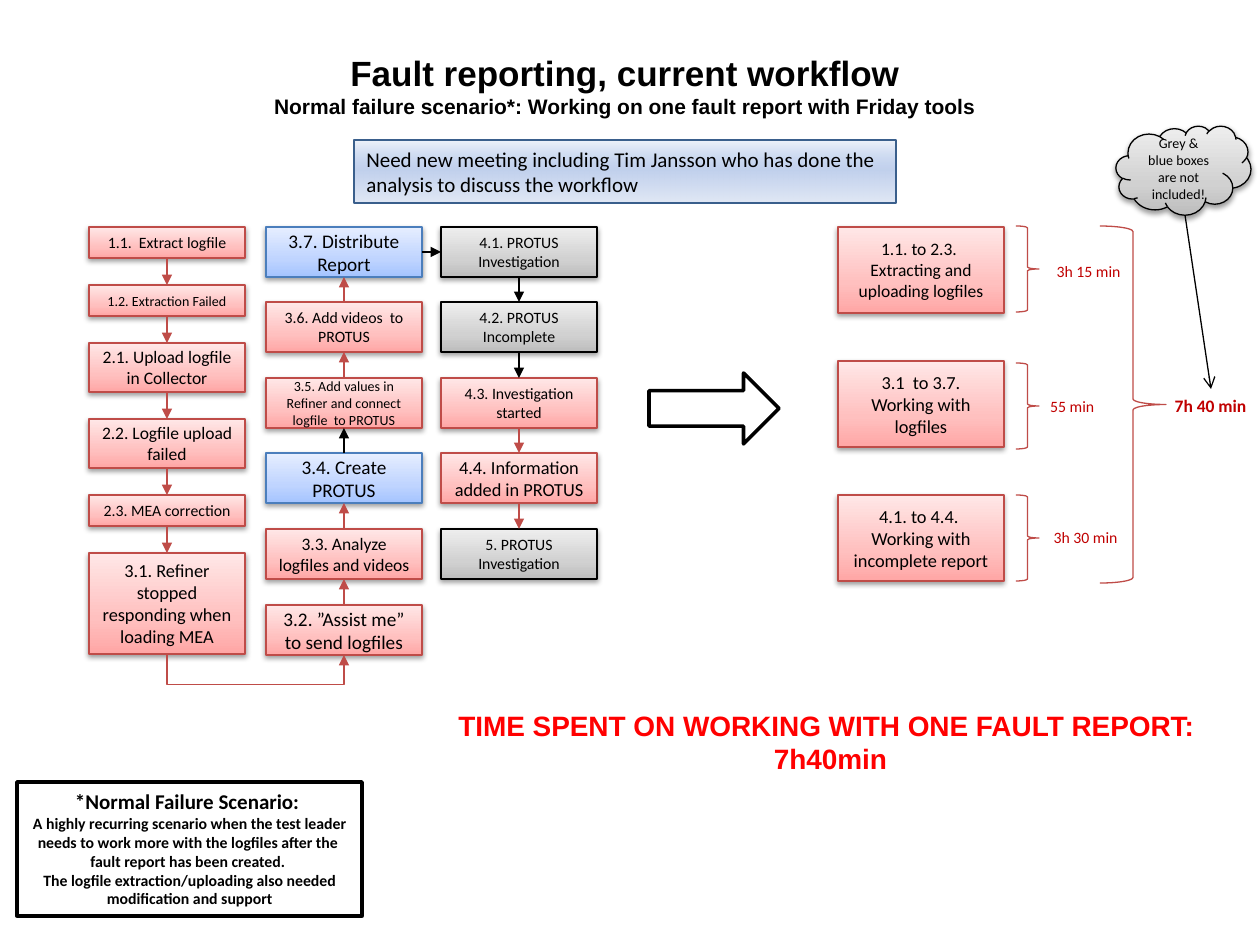
from itertools import pairwise

from lxml.etree import SubElement
from pptx import Presentation
from pptx.dml.color import RGBColor
from pptx.enum.shapes import MSO_CONNECTOR, MSO_SHAPE
from pptx.enum.text import MSO_ANCHOR, MSO_AUTO_SIZE, PP_ALIGN
from pptx.oxml.ns import qn
from pptx.util import Emu, Pt

RED, BLACK, DARK_RED = "BF4C48", "000000", "C00000"
TOP, LEFT, BOTTOM, RIGHT = range(4)


def px(n):
    return Emu(round(n * 914400 / 126))


def rgb(color):
    return RGBColor.from_string(color)


class Deck:
    # kind: (line colour, gradient stops as (position, colour, alpha), angle)
    KINDS = {
        "red": (RED, [(0, "FFA6A5", 100), (35, "FFC0BF", 100), (100, "FFE7E7", 100)], 90),
        "blue": ("4B7EBC", [(0, "A4C4FF", 100), (35, "BFD4FF", 100), (100, "E6EEFF", 100)], 90),
        "grey": (BLACK, [(0, "BDBDBD", 100), (35, "D1D1D1", 100), (100, "EEEEEE", 100)], 90),
        "note": ("3A5F8C", [(0, "9AB5E4", 14), (50, "C2D1ED", 100), (100, "E1E8F5", 100)], 270),
    }

    def __init__(self, prs):
        self.s = prs.slides.add_slide(prs.slide_layouts[6])

    def fill_text(self, sp, paragraphs, anchor=MSO_ANCHOR.MIDDLE, align=PP_ALIGN.CENTER,
                  font="Calibri", color=BLACK, bold=False, wrap=True):
        """Each paragraph is a list of (text, size) runs; a newline is a line break."""
        tf = sp.text_frame
        tf.word_wrap = wrap
        tf.vertical_anchor = anchor
        for i, runs in enumerate(paragraphs):
            p = tf.add_paragraph() if i else tf.paragraphs[0]
            p.alignment = align
            for text, size in runs:
                for j, line in enumerate(text.split("\n")):
                    if j:
                        p.add_line_break()
                    if not line:
                        continue
                    r = p.add_run()
                    r.text = line
                    r.font.name, r.font.size, r.font.bold = font, Pt(size), bold
                    r.font.color.rgb = rgb(color)

    def text(self, x, y, w, h, paragraphs, **style):
        sp = self.s.shapes.add_textbox(px(x), px(y), px(w), px(h))
        self.fill_text(sp, paragraphs, MSO_ANCHOR.TOP, **style)
        sp.text_frame.auto_size = MSO_AUTO_SIZE.SHAPE_TO_FIT_TEXT

    def shape(self, preset, x, y, w, h, line=BLACK, width=0.75, fill=None):
        sp = self.s.shapes.add_shape(preset, px(x), px(y), px(w), px(h))
        sp.shadow.inherit = False
        sp.line.color.rgb = rgb(line)
        sp.line.width = Pt(width)
        if fill:
            sp.fill.solid()
            sp.fill.fore_color.rgb = rgb(fill)
        else:
            sp.fill.background()
        return sp

    def box(self, kind, x, y, w, h, text, size, preset=MSO_SHAPE.RECTANGLE, shadow=True, **style):
        line, stops, angle = self.KINDS[kind]
        sp = self.shape(preset, x, y, w, h, line)
        sp.fill.gradient()
        sp.fill.gradient_angle = angle
        pr = sp._element.spPr
        gs_list = pr.find(qn("a:gradFill")).find(qn("a:gsLst"))
        for gs in list(gs_list):
            gs_list.remove(gs)
        for pos, color, alpha in stops:
            gs = SubElement(gs_list, qn("a:gs"), pos=str(pos * 1000))
            self.color_xml(gs, color, alpha)
        if shadow:
            shadow_xml = SubElement(pr.find(qn("a:effectLst")), qn("a:outerShdw"),
                                    blurRad=str(Pt(3.1)), dist=str(Pt(1.6)),
                                    dir="5400000", rotWithShape="0")
            self.color_xml(shadow_xml, BLACK, 38)
        self.fill_text(sp, [[(text, size)]], **style)
        return sp

    def color_xml(self, parent, color, alpha):
        clr = SubElement(parent, qn("a:srgbClr"), val=color)
        if alpha < 100:
            SubElement(clr, qn("a:alpha"), val=str(alpha * 1000))

    def arrow(self, x1, y1, x2, y2, color=BLACK, head="triangle", kind=MSO_CONNECTOR.STRAIGHT):
        c = self.s.shapes.add_connector(kind, px(x1), px(y1), px(x2), px(y2))
        c.line.color.rgb = rgb(color)
        c.line.width = Pt(0.75)
        pr = c._element.spPr
        SubElement(pr.find(qn("a:ln")), qn("a:tailEnd"), type=head)
        SubElement(pr, qn("a:effectLst"))
        return c

    def join(self, a, side_a, b, side_b, color):
        c = self.arrow(0, 0, 0, 0, color)
        c.begin_connect(a, side_a)
        c.end_connect(b, side_b)

    def u_turn(self, x1, x2, y, drop, color):
        """Elbow from (x1, y) down by drop and up to (x2, y + 1)."""
        mid, half = (x1 + x2) / 2, (x2 - x1) / 2
        c = self.arrow(mid + 0.5, y + 0.5 - half, mid - 0.5, y + 0.5 + half, color,
                       kind=MSO_CONNECTOR.ELBOW)
        pr = c._element.spPr
        pr.find(qn("a:xfrm")).set("rot", "16200000")
        guides = pr.find(qn("a:prstGeom")).find(qn("a:avLst"))
        SubElement(guides, qn("a:gd"), name="adj1", fmla=f"val {drop * 100000}")


def main():
    prs = Presentation()
    prs.slide_width, prs.slide_height = px(1260), px(945)
    d = Deck(prs)

    # Headings
    d.text(257, 45, 736, 81, [
        [("Fault reporting, current workflow", 20)],
        [("Normal failure scenario*: Working on one fault report with Friday tools", 12)],
    ], font="Arial", bold=True, wrap=False)
    d.text(441, 702, 779, 81, [[("TIME SPENT ON WORKING WITH ONE FAULT REPORT: \n7h40min", 16)]],
           font="Arial", color="FF0000", bold=True, wrap=False)

    # Workflow, first column: steps of different heights with equal gaps
    box_w, top, gap = 156, 227, 27
    first, y = [], top
    for text, size, h in [
        ("1.1.  Extract logfile", 9, 31),
        ("1.2. Extraction Failed", 8, 31),
        ("2.1. Upload logfile in Collector", 10, 49),
        ("2.2. Logfile upload failed", 10, 49),
        ("2.3. MEA correction", 9, 31),
        ("3.1. Refiner stopped responding when loading MEA", 10.5, 101),
    ]:
        first.append(d.box("red", 89, y, box_w, h, text, size))
        y += h + gap

    # Second and third columns: six rows on one pitch
    def column(x, steps):
        return [d.box(kind, x, top + i * 378 // 5, box_w, 50, text, size)
                for i, (kind, text, size) in enumerate(steps)]

    second = column(266, [
        ("blue", "3.7. Distribute Report", 11),
        ("red", "3.6. Add videos  to PROTUS", 9),
        ("red", "3.5. Add values in Refiner and connect logfile  to PROTUS", 8),
        ("blue", "3.4. Create PROTUS", 11),
        ("red", "3.3. Analyze logfiles and videos ", 10),
        ("red", "3.2. ”Assist me” to send logfiles", 11),
    ])
    third = column(441, [
        ("grey", "4.1. PROTUS Investigation", 9),
        ("grey", "4.2. PROTUS Incomplete", 9),
        ("red", "4.3. Investigation started", 9),
        ("red", "4.4. Information added in PROTUS", 10.5),
        ("grey", "5. PROTUS Investigation", 9),
    ])

    # Workflow arrows
    for a, b in pairwise(first):
        d.join(a, BOTTOM, b, TOP, RED)
    for i, (upper, lower) in enumerate(pairwise(second)):
        d.join(lower, TOP, upper, BOTTOM, BLACK if i == 2 else RED)
    for i, (a, b) in enumerate(pairwise(third)):
        d.join(a, BOTTOM, b, TOP, BLACK if i < 2 else RED)
    d.join(second[0], RIGHT, third[0], LEFT, BLACK)
    d.u_turn(167, 344, 654, 31, RED)

    # Time summary
    d.shape(MSO_SHAPE.RIGHT_ARROW, 649, 373, 130, 71, width=2)
    for y, text, size, brace_y, time, time_x, time_y, time_w in [
        (227, "1.1. to 2.3. \nExtracting and uploading logfiles", 10, 226, "3h 15 min", 1040, 256, 97),
        (361, "3.1  to 3.7. Working with logfiles", 10.5, 363, "55 min ", 1037, 391, 74),
        (495, "4.1. to 4.4. \nWorking with incomplete report", 10.5, 495, "3h 30 min", 1037, 522, 97),
    ]:
        d.box("red", 838, y, 166, 86, text, size)
        d.shape(MSO_SHAPE.RIGHT_BRACE, 1016, brace_y, 23, 86, RED)
        d.text(time_x, time_y, time_w, 31, [[(time, 9)]], color=DARK_RED)
    d.shape(MSO_SHAPE.RIGHT_BRACE, 1100, 226, 66, 357, RED)
    d.text(1159, 389, 103, 34, [[("7h 40 min", 10)]], color=DARK_RED, bold=True)

    # Notes
    legend = d.shape(MSO_SHAPE.RECTANGLE, 17, 782, 345, 134, width=2, fill="FFFFFF")
    d.fill_text(legend, [[
        ("*Normal Failure Scenario: \n", 12),
        ("A highly recurring scenario when the test leader needs to work more with the logfiles "
         "after the  fault report has been created. \n"
         "The logfile extraction/uploading also needed modification and support", 9),
    ]], anchor=MSO_ANCHOR.TOP, bold=True)
    d.arrow(1185, 215, 1211, 389, head="arrow")
    d.box("grey", 1116, 126, 135, 89, "Grey & blue boxes are not included!", 8,
          preset=MSO_SHAPE.CLOUD)
    d.box("note", 354, 140, 542, 63,
          "Need new meeting including Tim Jansson who has done the analysis to discuss the workflow",
          12, shadow=False, anchor=MSO_ANCHOR.TOP, align=PP_ALIGN.LEFT)

    prs.save("out.pptx")


if __name__ == "__main__":
    main()
